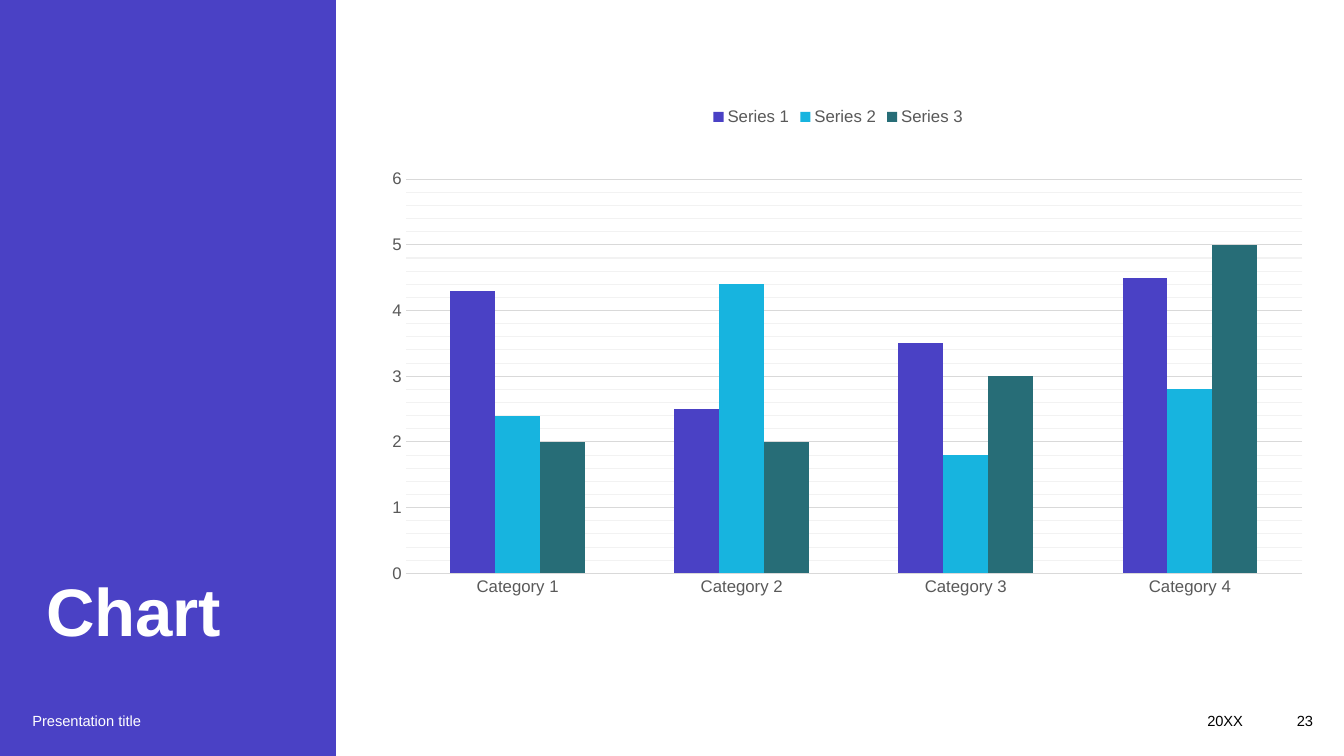
from pptx import Presentation
from pptx.chart.data import CategoryChartData
from pptx.dml.color import RGBColor
from pptx.enum.chart import XL_CHART_TYPE, XL_LEGEND_POSITION, XL_TICK_MARK
from pptx.enum.shapes import MSO_SHAPE
from pptx.enum.text import MSO_ANCHOR, PP_ALIGN
from pptx.oxml import parse_xml
from pptx.oxml.ns import nsdecls, qn
from pptx.util import Pt

INDIGO = RGBColor(0x4A, 0x41, 0xC5)
CYAN = RGBColor(0x17, 0xB4, 0xDF)
TEAL = RGBColor(0x27, 0x6D, 0x77)
WHITE = RGBColor(0xFF, 0xFF, 0xFF)
BLACK = RGBColor(0, 0, 0)
GREY = RGBColor(0x59, 0x59, 0x59)
GRID = RGBColor(0xD9, 0xD9, 0xD9)
MINOR_GRID = RGBColor(0xF2, 0xF2, 0xF2)
FONT = "Arial"
WIDTH, HEIGHT = 960, 540

CATEGORIES = ["Category 1", "Category 2", "Category 3", "Category 4"]
SERIES = [
    ("Series 1", (4.3, 2.5, 3.5, 4.5), INDIGO),
    ("Series 2", (2.4, 4.4, 1.8, 2.8), CYAN),
    ("Series 3", (2, 2, 3, 5), TEAL),
]


def set_font(font, size, color, bold=False):
    font.name, font.size, font.bold = FONT, Pt(size), bold
    font.color.rgb = color


def add_text(s, text, x, y, w, h, size=10.5, color=BLACK, bold=False,
             align=PP_ALIGN.LEFT, anchor=MSO_ANCHOR.MIDDLE, spacing=None):
    tf = s.shapes.add_textbox(Pt(x), Pt(y), Pt(w), Pt(h)).text_frame
    tf.word_wrap = True
    tf.vertical_anchor = anchor
    p = tf.paragraphs[0]
    p.alignment = align
    r = p.add_run()
    r.text = text
    set_font(r.font, size, color, bold)
    if spacing is not None:
        r.font._element.set("spc", str(round(spacing * 100)))


def set_line(line, color):
    line.color.rgb = color
    line.width = Pt(0.75)


def add_minor_gridlines(axis, color):
    axis.has_minor_gridlines = True
    axis._element.find(qn("c:minorGridlines")).append(parse_xml(
        f'<c:spPr {nsdecls("c", "a")}><a:ln w="{Pt(0.75)}"><a:solidFill>'
        f'<a:srgbClr val="{color}"/></a:solidFill></a:ln></c:spPr>'))


def set_plot_area(chart, x, y, w, h):
    """Place the inner plot area, in fractions of the chart."""
    plot_area = chart._chartSpace.chart.plotArea
    for old in plot_area.findall(qn("c:layout")):
        plot_area.remove(old)
    sizes = "".join(f'<c:{k} val="{v}"/>' for k, v in zip("xywh", (x, y, w, h)))
    plot_area.insert(0, parse_xml(
        f'<c:layout {nsdecls("c")}><c:manualLayout><c:layoutTarget val="inner"/>'
        f'<c:xMode val="edge"/><c:yMode val="edge"/>{sizes}'
        '</c:manualLayout></c:layout>'))


def add_side_panel(s, x, y, w, h):
    sp = s.shapes.add_shape(MSO_SHAPE.RECTANGLE, Pt(x), Pt(y), Pt(w), Pt(h))
    sp.shadow.inherit = False
    sp.fill.solid()
    sp.fill.fore_color.rgb = INDIGO
    sp.line.fill.background()
    add_text(s, "Chart", x + 26, y + 69, w - 52, h - 141, size=48, color=WHITE,
             bold=True, anchor=MSO_ANCHOR.BOTTOM, spacing=-0.2)


def add_column_chart(s, x, y, w, h):
    data = CategoryChartData()
    data.categories = CATEGORIES
    for name, values, _ in SERIES:
        data.add_series(name, values)
    chart = s.shapes.add_chart(XL_CHART_TYPE.COLUMN_CLUSTERED,
                               Pt(x), Pt(y), Pt(w), Pt(h), data).chart
    set_font(chart.font, 12, GREY)
    chart.has_title = False
    set_plot_area(chart, 0.044, 0.158, 0.945, 0.754)

    # Columns
    plot = chart.plots[0]
    plot.gap_width, plot.overlap = 199, 0
    plot.vary_by_categories = False
    for series, (_, _, color) in zip(plot.series, SERIES):
        series.format.fill.solid()
        series.format.fill.fore_color.rgb = color

    # Axes and gridlines
    cat, val = chart.category_axis, chart.value_axis
    for axis in (cat, val):
        axis.major_tick_mark = axis.minor_tick_mark = XL_TICK_MARK.NONE
        set_font(axis.tick_labels.font, 12, GREY)
    set_line(cat.format.line, GRID)
    val.format.line.fill.background()
    val.minimum_scale, val.maximum_scale = 0, 6
    val.major_unit, val.minor_unit = 1, 0.2
    val.has_major_gridlines = True
    set_line(val.major_gridlines.format.line, GRID)
    add_minor_gridlines(val, MINOR_GRID)

    # Legend
    chart.has_legend = True
    chart.legend.position = XL_LEGEND_POSITION.TOP
    chart.legend.include_in_layout = False
    set_font(chart.legend.font, 12, GREY)


def add_footer(s, x, y, w, h):
    number_w, date_w = 50, 343
    number_x = x + w - number_w
    add_text(s, "Presentation title", x, y, 218, h, color=WHITE)
    add_text(s, "20XX", number_x - date_w, y, date_w, h, align=PP_ALIGN.RIGHT)
    add_text(s, "23", number_x, y, number_w, h, align=PP_ALIGN.RIGHT)


def main():
    prs = Presentation()
    prs.slide_width, prs.slide_height = Pt(WIDTH), Pt(HEIGHT)
    s = prs.slides.add_slide(prs.slide_layouts[6])
    add_side_panel(s, 0, 0, WIDTH / 4, HEIGHT)
    add_column_chart(s, 260, 69, 677.5, 373.5)
    add_footer(s, 16, 500.5, 929, 29)
    prs.save("out.pptx")


if __name__ == "__main__":
    main()
